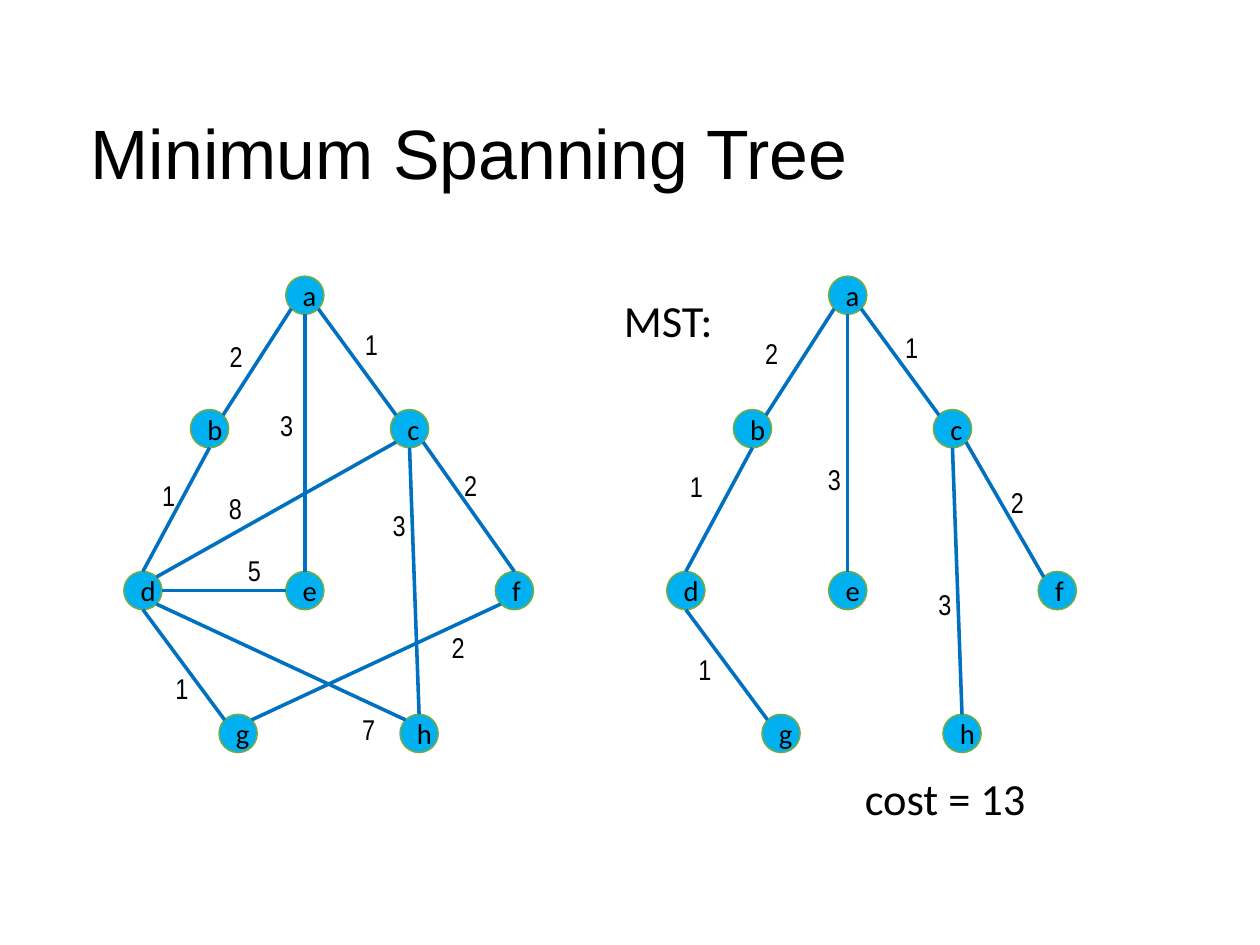
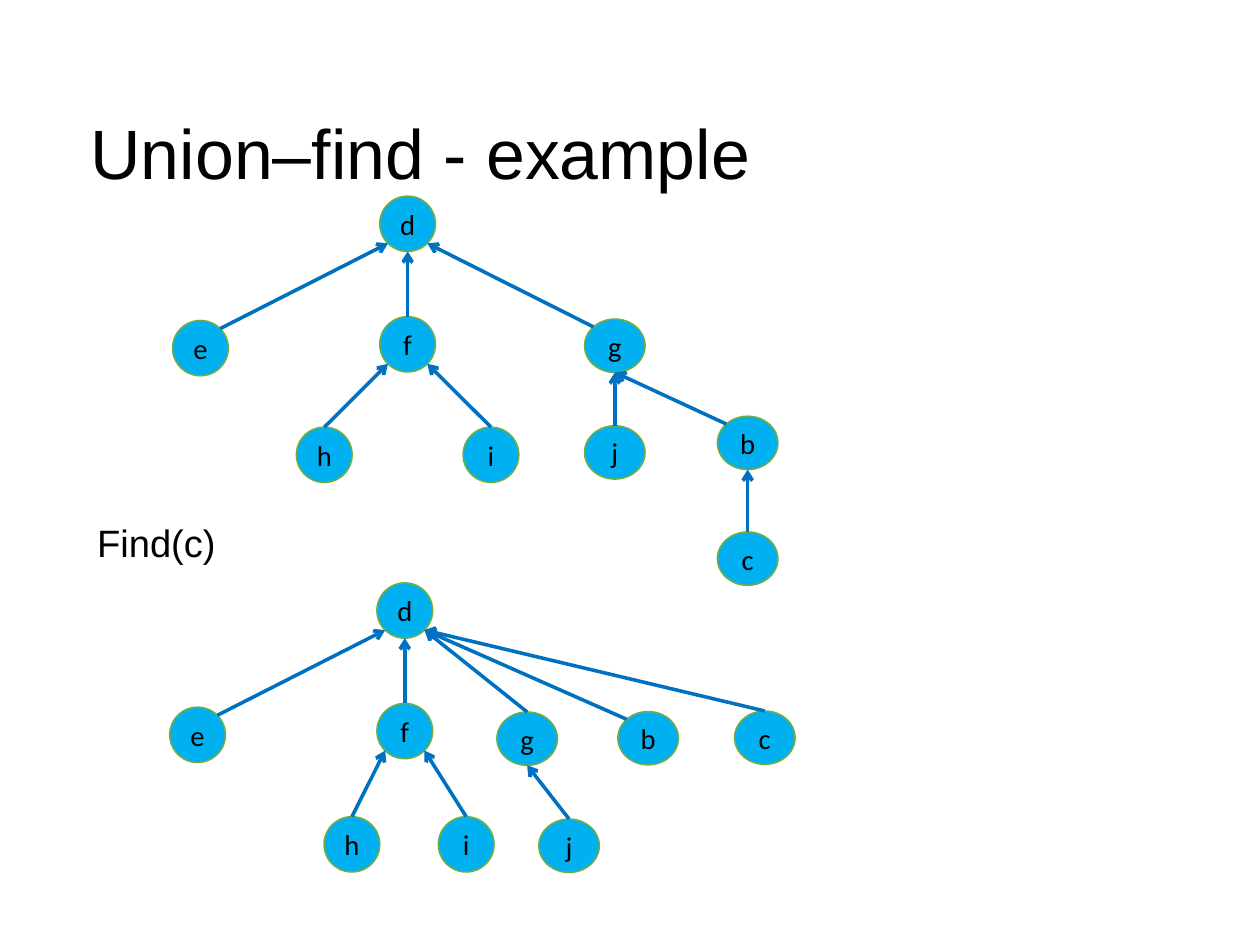
from math import sqrt

from lxml import etree
from pptx import Presentation
from pptx.dml.color import RGBColor
from pptx.enum.shapes import MSO_CONNECTOR, MSO_SHAPE
from pptx.enum.text import MSO_ANCHOR, PP_ALIGN
from pptx.oxml.ns import qn
from pptx.util import Cm, Inches, Pt

ELLIPSE = MSO_SHAPE.OVAL
STRAIGHT = MSO_CONNECTOR.STRAIGHT
CENTER, LEFT = PP_ALIGN.CENTER, PP_ALIGN.LEFT
MIDDLE = MSO_ANCHOR.MIDDLE

SLIDE_WIDTH, SLIDE_HEIGHT = Cm(28), Cm(21)
CELLS_PER_INCH = 12
INK, NODE_FILL, NODE_LINE, EDGE = "000000", "00B0F0", "70AD47", "0070C0"
TITLE_BOX = (9.5, 7.7, 111, 16.4)

DIAGONAL = sqrt(0.5) / 2
PORTS = {
    "n": (0, -0.5), "s": (0, 0.5), "e": (0.5, 0), "w": (-0.5, 0),
    "ne": (DIAGONAL, -DIAGONAL), "nw": (-DIAGONAL, -DIAGONAL),
    "se": (DIAGONAL, DIAGONAL), "sw": (-DIAGONAL, DIAGONAL),
}

SMALL, ROUND, WIDE = (4, 4), (5.85, 5.8), (6.35, 5.6)

GRAPH_NODES = {
    "a": (19, 2, SMALL), "b": (9, 16, SMALL), "c": (30, 16, SMALL),
    "d": (2, 33, SMALL), "e": (19, 33, SMALL), "f": (41, 33, SMALL),
    "g": (12, 48, SMALL), "h": (31, 48, SMALL),
}
GRAPH_EDGES = [
    ("a se c nw", "1", 26, 7.1), ("a sw b ne", "2", 11.8, 8.4),
    ("a s e n", "3", 17.1, 15.6), ("b s d n", "1", 4.7, 23),
    ("c sw d ne", "8", 11.7, 24.3), ("c se f n", "2", 36.4, 21.9),
    ("c s h n", "3", 28.9, 26.1), ("d e e w", "5", 13.7, 30.9),
    ("d s g nw", "1", 6.1, 43.2), ("d se h nw", "7", 25.7, 47.5),
    ("f sw g ne", "2", 35.1, 38.9),
]
SPANNING_EDGES = [
    ("a se c nw", "1", 25.7, 7.4), ("a sw b ne", "2", 11, 8.1),
    ("a s e n", "3", 17.6, 21.3), ("b s d n", "1", 3.1, 22),
    ("c se f nw", "2", 36.8, 23.7), ("c s h n", "3", 29.2, 34.4),
    ("d s g nw", "1", 4, 41.3),
]

TOP_NODES = {"d": (24.7, 2.9, ROUND), "e": (2.95, 15.95, ROUND), "f": (24.7, 15.55, ROUND)}
TOP_EDGES = ["d sw e ne", "d s f n", "f sw h n", "f se i n", "g s j n"]
BEFORE_NODES = TOP_NODES | {
    "h": (15.95, 27.15, ROUND), "i": (33.45, 27.15, ROUND),
    "g": (46.45, 15.7, WIDE), "j": (46.45, 26.9, WIDE),
    "b": (60.4, 25.9, WIDE), "c": (60.4, 38.05, WIDE),
}
BEFORE_EDGES = TOP_EDGES + ["d se g nw", "g s b nw", "b s c n"]
AFTER_NODES = TOP_NODES | {
    "h": (19.15, 27.45, ROUND), "i": (31.15, 27.45, ROUND),
    "g": (37.55, 16.35, WIDE), "j": (41.95, 27.6, WIDE),
    "b": (50.25, 16.3, WIDE), "c": (62.5, 16.25, WIDE),
}
AFTER_EDGES = TOP_EDGES + ["d se g n", "d se b nw", "d se c n"]


def color(value):
    return RGBColor.from_string(value)


def cells(*values):
    return [Inches(value / CELLS_PER_INCH) for value in values]


def write(frame, text, size=18, font="Calibri", align=LEFT):
    frame.vertical_anchor = MIDDLE
    paragraph = frame.paragraphs[0]
    paragraph.alignment = align
    run = paragraph.add_run()
    run.text = text
    run.font.size = Pt(size)
    run.font.name = font
    run.font.color.rgb = color(INK)


def add_text(slide, text, box, **style):
    frame = slide.shapes.add_textbox(*cells(*box)).text_frame
    frame.word_wrap = False
    frame.margin_left = frame.margin_right = frame.margin_top = frame.margin_bottom = 0
    write(frame, text, **style)


def add_node(slide, name, x, y, size):
    width, height = size
    node = slide.shapes.add_shape(ELLIPSE, *cells(x - width / 2, y - height / 2, width, height))
    node.shadow.inherit = False
    node.fill.solid()
    node.fill.fore_color.rgb = color(NODE_FILL)
    node.line.color.rgb = color(NODE_LINE)
    node.line.width = Pt(1)
    write(node.text_frame, name, align=CENTER)


def add_edge(slide, start, end, arrow):
    edge = slide.shapes.add_connector(STRAIGHT, *cells(*start, *end))
    edge.line.color.rgb = color(EDGE)
    edge.line.width = Pt(2.25)
    if arrow:
        etree.SubElement(edge.line._get_or_add_ln(), qn("a:headEnd"), type="arrow")
    etree.SubElement(edge._element.spPr, qn("a:effectLst"))


def port_point(node, port):
    x, y, (width, height) = node
    across, down = PORTS[port]
    return x + across * width, y + down * height


def add_diagram(slide, left, top, nodes, edges, arrow=False):
    placed = {name: (left + x, top + y, size) for name, (x, y, size) in nodes.items()}
    for name, node in placed.items():
        add_node(slide, name, *node)
    for edge in edges:
        parent, parent_port, child, child_port = edge.split()
        start = port_point(placed[parent], parent_port)
        end = port_point(placed[child], child_port)
        add_edge(slide, start, end, arrow)


def add_weighted_graph(slide, left, top, edges):
    add_diagram(slide, left, top, GRAPH_NODES, [edge[0] for edge in edges])
    for _, weight, x, y in edges:
        add_text(slide, weight, (left + x - 2, top + y - 2.4, 4, 4.8),
                 font="Arial Narrow", align=CENTER)


def add_titled_slide(presentation, title):
    slide = presentation.slides.add_slide(presentation.slide_layouts[6])
    add_text(slide, title, TITLE_BOX, size=44, font="Arial")
    return slide


def add_spanning_tree_slide(presentation):
    slide = add_titled_slide(presentation, "Minimum Spanning Tree")
    add_weighted_graph(slide, 13, 29, GRAPH_EDGES)
    add_weighted_graph(slide, 70, 29, SPANNING_EDGES)
    add_text(slide, "MST:", (65.5, 30.3, 11, 6.5), size=28)
    add_text(slide, "cost = 13", (90.8, 80.5, 19, 6.5), size=28)


def add_union_find_slide(presentation):
    slide = add_titled_slide(presentation, "Union–find - example")
    add_diagram(slide, 18.1, 20.6, BEFORE_NODES, BEFORE_EDGES, arrow=True)
    add_text(slide, "Find(c)", (10.2, 54.6, 14, 4.6), size=24, font="Arial")
    add_diagram(slide, 17.8, 61.2, AFTER_NODES, AFTER_EDGES, arrow=True)


def main():
    presentation = Presentation()
    presentation.slide_width = SLIDE_WIDTH
    presentation.slide_height = SLIDE_HEIGHT
    add_spanning_tree_slide(presentation)
    add_union_find_slide(presentation)
    presentation.save("out.pptx")


if __name__ == "__main__":
    main()
